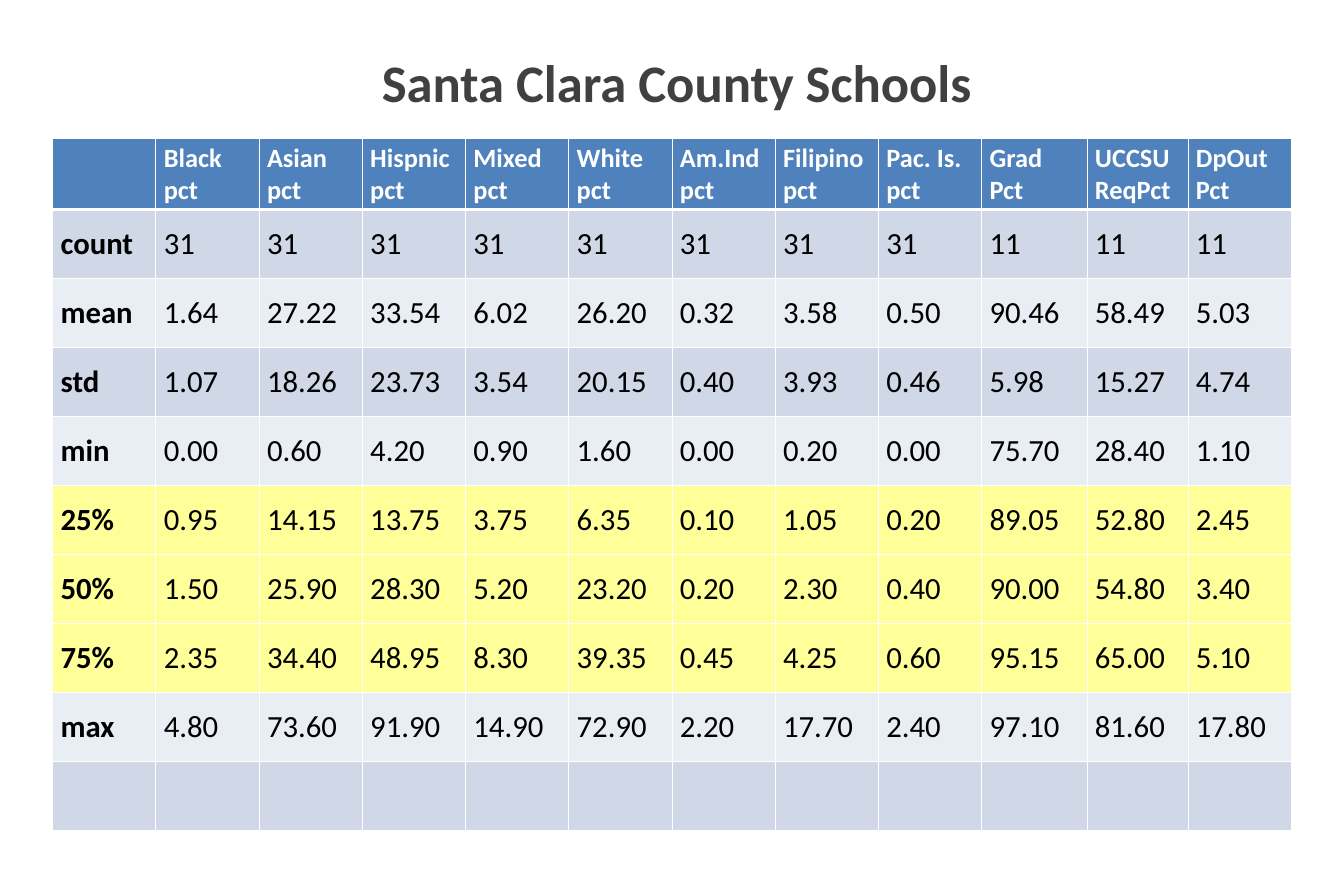
from lxml import etree
from pptx import Presentation
from pptx.dml.color import RGBColor
from pptx.enum import text
from pptx.oxml import ns
from pptx.util import Pt

FONT = "Calibri"
COLORS = {
    "title": "404040",
    "header": "4F81BD",
    "band_dark": "D0D8E8",
    "band_light": "E9EDF4",
    "quartile": "FFFF99",
    "white": "FFFFFF",
    "black": "000000",
}

HEADINGS = [
    (), ("Black", "pct"), ("Asian", "pct"), ("Hispnic", "pct"),
    ("Mixed", "pct"), ("White", "pct"), ("Am.Ind", "pct"),
    ("Filipino", "pct"), ("Pac. Is.", "pct"), ("Grad", "Pct"),
    ("UCCSU", "ReqPct"), ("DpOut", "Pct"),
]
STATISTICS = [
    "count 31 31 31 31 31 31 31 31 11 11 11",
    "mean 1.64 27.22 33.54 6.02 26.20 0.32 3.58 0.50 90.46 58.49 5.03",
    "std 1.07 18.26 23.73 3.54 20.15 0.40 3.93 0.46 5.98 15.27 4.74",
    "min 0.00 0.60 4.20 0.90 1.60 0.00 0.20 0.00 75.70 28.40 1.10",
    "25% 0.95 14.15 13.75 3.75 6.35 0.10 1.05 0.20 89.05 52.80 2.45",
    "50% 1.50 25.90 28.30 5.20 23.20 0.20 2.30 0.40 90.00 54.80 3.40",
    "75% 2.35 34.40 48.95 8.30 39.35 0.45 4.25 0.60 95.15 65.00 5.10",
    "max 4.80 73.60 91.90 14.90 72.90 2.20 17.70 2.40 97.10 81.60 17.80",
]
COLUMN_WIDTHS = [94] * 9 + [96, 92, 94]
ROW_HEIGHT = 62.8


def add_span(para, wording, size, color, bold):
    span = para.add_run()
    span.text = wording
    span.font.name = FONT
    span.font.size = Pt(size)
    span.font.bold = bold
    span.font.color.rgb = RGBColor.from_string(COLORS[color])


def add_title(page, wording):
    box = page.shapes.title
    box.left, box.top, box.width, box.height = Pt(339), Pt(42), Pt(555), Pt(65.5)
    frame = box.text_frame
    frame.word_wrap = False
    frame.auto_size = text.MSO_AUTO_SIZE.SHAPE_TO_FIT_TEXT
    frame.vertical_anchor = text.MSO_ANCHOR.TOP
    para = frame.paragraphs[0]
    para.alignment = text.PP_ALIGN.CENTER
    add_span(para, wording, 48, "title", True)


def set_border(cell, side, width):
    properties = cell._tc.get_or_add_tcPr()
    line = etree.SubElement(properties, ns.qn(f"a:ln{side}"), w=str(Pt(width)))
    fill = etree.SubElement(line, ns.qn("a:solidFill"))
    etree.SubElement(fill, ns.qn("a:srgbClr"), val=COLORS["white"])


def fill_cell(cell, lines, fill, size, color, bold, top=1, bottom=1):
    for side, width in zip("LRTB", (1, 1, top, bottom)):
        set_border(cell, side, width)
    cell.fill.solid()
    cell.fill.fore_color.rgb = RGBColor.from_string(COLORS[fill])
    cell.vertical_anchor = text.MSO_ANCHOR.MIDDLE
    frame = cell.text_frame
    for index, wording in enumerate(lines):
        para = frame.add_paragraph() if index else frame.paragraphs[0]
        add_span(para, wording, size, color, bold)


def row_fill(label, row):
    if label.endswith("%"):
        return "quartile"
    return "band_dark" if row % 2 else "band_light"


def add_statistics_table(page):
    row_count, column_count = len(STATISTICS) + 2, len(HEADINGS)
    frame = page.shapes.add_table(
        row_count, column_count, Pt(48), Pt(126),
        Pt(sum(COLUMN_WIDTHS)), Pt(ROW_HEIGHT * row_count))
    table = frame.table
    for column, width in zip(table.columns, COLUMN_WIDTHS):
        column.width = Pt(width)
    for row in table.rows:
        row.height = Pt(ROW_HEIGHT)

    # Header row
    for column, lines in enumerate(HEADINGS):
        fill_cell(table.cell(0, column), lines, "header", 24, "white", True, bottom=3)

    # Statistics, then one empty closing row
    body = [line.split() for line in STATISTICS] + [[""] * column_count]
    for row, values in enumerate(body, start=1):
        fill = row_fill(values[0], row)
        for column, value in enumerate(values):
            fill_cell(table.cell(row, column), [value] if value else [], fill,
                      28, "black", column == 0, top=3 if row == 1 else 1)


def main():
    deck = Presentation()
    deck.slide_width, deck.slide_height = Pt(1224), Pt(792)
    page = deck.slides.add_slide(deck.slide_layouts[5])
    add_statistics_table(page)
    add_title(page, "Santa Clara County Schools")
    deck.save("out.pptx")


main()
